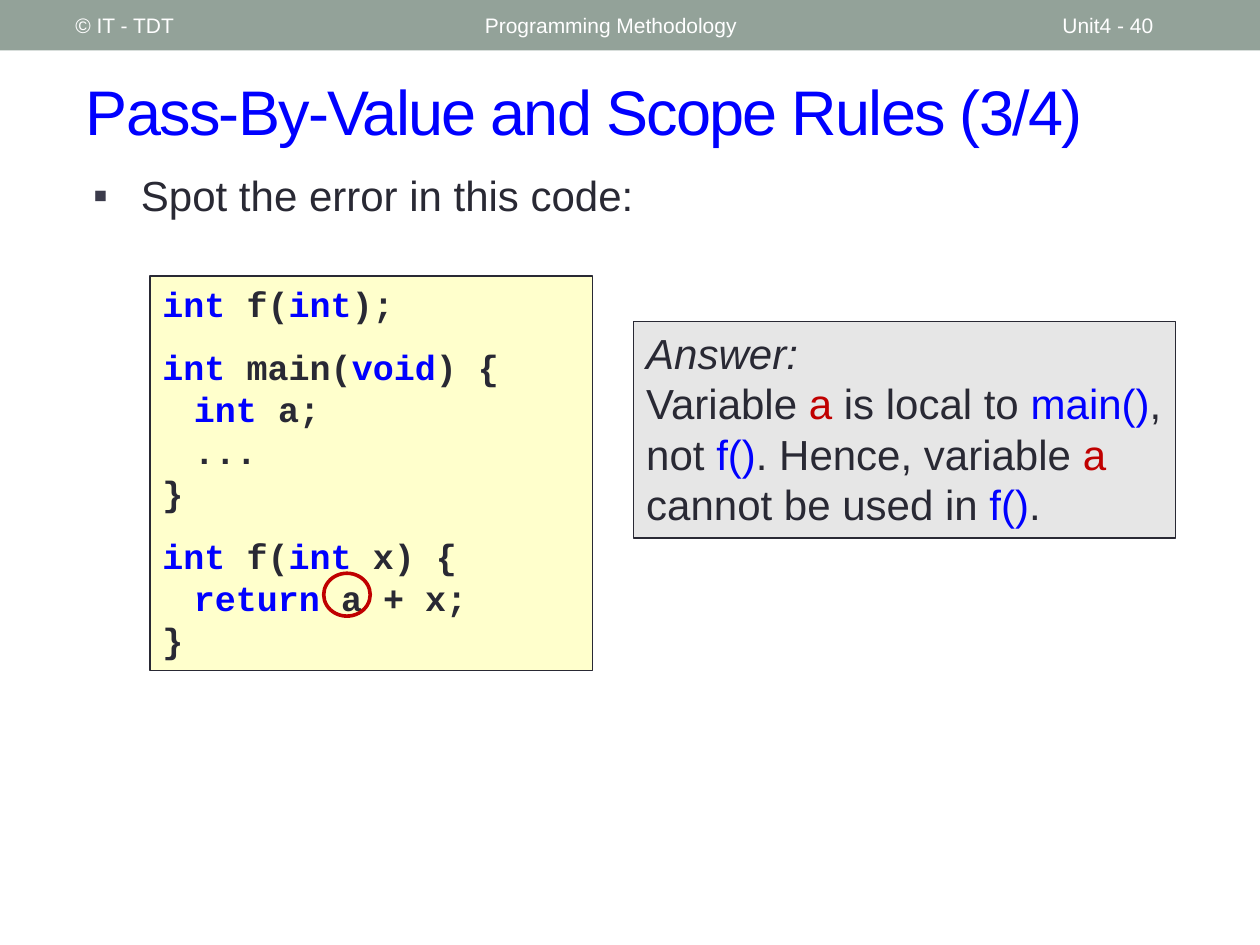
from dataclasses import dataclass

from lxml import etree
from pptx import Presentation
from pptx.dml.color import RGBColor
from pptx.enum.shapes import MSO_SHAPE
from pptx.enum.text import MSO_ANCHOR, PP_ALIGN
from pptx.oxml.ns import qn
from pptx.util import Pt

RECTANGLE, OVAL = MSO_SHAPE.RECTANGLE, MSO_SHAPE.OVAL
TOP, MIDDLE = MSO_ANCHOR.TOP, MSO_ANCHOR.MIDDLE
LEFT = PP_ALIGN.LEFT


@dataclass(frozen=True)
class Theme:
    ink: str = "292934"
    blue: str = "0000FF"
    red: str = "C00000"
    white: str = "FFFFFF"
    band: str = "93A299"
    code_fill: str = "FFFFCC"
    answer_fill: str = "E6E6E6"
    bullet: str = "3B3B4B"
    sans: str = "Arial"
    mono: str = "Courier New"
    title_size: int = 36
    body_size: int = 24
    code_size: int = 20
    header_size: int = 12


THEME = Theme()
CODE_TABS = (18, 36.7, 54)
LINE_FACTOR = 1.2

# A line is a list of (text, colour) runs; a line listed in `gaps` has space before it.
INK, BLUE, RED = THEME.ink, THEME.blue, THEME.red
CODE = [
    [("int ", BLUE), ("f(", INK), ("int", BLUE), (");", INK)],
    [("int", BLUE), (" main(", INK), ("void", BLUE), (") {", INK)],
    [("\t", INK), ("int", BLUE), (" a;", INK)],
    [("\t...", INK)],
    [("}", INK)],
    [("int", BLUE), (" f(", INK), ("int", BLUE), (" x) {", INK)],
    [("\t", INK), ("return", BLUE), (" a + x;", INK)],
    [("}", INK)],
]
FUNCTION_STARTS = (1, 5)
ANSWER = [
    ("Variable ", INK), ("a", RED), (" is local to ", INK), ("main()", BLUE),
    (", not ", INK), ("f()", BLUE), (". Hence, variable ", INK), ("a", RED),
    (" cannot be used in ", INK), ("f()", BLUE), (".", INK),
]


def add_tabs(paragraph, stops):
    tab_list = etree.SubElement(paragraph._p.get_or_add_pPr(), qn("a:tabLst"))
    for stop in stops:
        etree.SubElement(tab_list, qn("a:tab"), pos=str(Pt(stop)), algn="l")


def add_bullet(paragraph, char, color, indent):
    properties = paragraph._p.get_or_add_pPr()
    properties.set("marL", str(Pt(indent)))
    properties.set("indent", str(-Pt(indent)))
    bullet_color = etree.SubElement(properties, qn("a:buClr"))
    etree.SubElement(bullet_color, qn("a:srgbClr"), val=color)
    etree.SubElement(properties, qn("a:buFont"), typeface=THEME.sans)
    etree.SubElement(properties, qn("a:buChar"), char=char)


def write(frame, lines, *, size, font=THEME.sans, bold=False, anchor=TOP,
          tabs=(), gaps=(), gap=0, italic_lines=(), tight=False, leading=None):
    """Fill a text frame with lines of coloured runs."""
    frame.word_wrap = True
    frame.vertical_anchor = anchor
    for index, line in enumerate(lines):
        paragraph = frame.paragraphs[0] if index == 0 else frame.add_paragraph()
        if tabs:
            add_tabs(paragraph, tabs)
        paragraph.alignment = LEFT
        if leading:
            paragraph.line_spacing = Pt(leading)
        if index in gaps:
            paragraph.space_before = Pt(gap)
        for text, color in line:
            run = paragraph.add_run()
            run.text = text
            run.font.name = font
            run.font.size = Pt(size)
            run.font.bold = bold
            run.font.italic = index in italic_lines
            run.font.color.rgb = RGBColor.from_string(color)
            if tight:
                run.font._element.set("spc", "-100")


def add_text(slide, box, lines, **text_format):
    frame = slide.shapes.add_textbox(*map(Pt, box)).text_frame
    write(frame, lines, **text_format)
    return frame


def add_figure(slide, kind, box, fill=None, line=None, width=0.75):
    figure = slide.shapes.add_shape(kind, *map(Pt, box))
    figure.shadow.inherit = False
    if fill:
        figure.fill.solid()
        figure.fill.fore_color.rgb = RGBColor.from_string(fill)
    else:
        figure.fill.background()
    if line:
        figure.line.color.rgb = RGBColor.from_string(line)
        figure.line.width = Pt(width)
    else:
        figure.line.fill.background()
    return figure


def add_header(slide):
    add_figure(slide, RECTANGLE, (0, 0, 720, 28.8), THEME.band)
    for left, width, label in (
        (36, 228, "© IT - TDT"),
        (270, 324, "Programming Methodology"),
        (600, 84, "Unit4 - 40"),
    ):
        add_text(slide, (left, 1.44, width, 25.92), [[(label, THEME.white)]],
                 size=THEME.header_size, anchor=MIDDLE)


def set_title(slide, text):
    title = slide.shapes.title
    title.left, title.top, title.width, title.height = map(Pt, (41.8, 30.2, 660, 66.2))
    write(title.text_frame, [[(text, BLUE)]], size=THEME.title_size,
          anchor=MIDDLE, tight=True)


def main():
    deck = Presentation()
    deck.slide_width, deck.slide_height = Pt(720), Pt(540)
    slide = deck.slides.add_slide(deck.slide_layouts[5])

    # Header band and title
    add_header(slide)
    set_title(slide, "Pass-By-Value and Scope Rules (3/4)")

    # Question
    question = add_text(slide, (46.1, 93.6, 648, 45.4),
                        [[("Spot the error in this code:", INK)]], size=THEME.body_size)
    add_bullet(question.paragraphs[0], "▪", THEME.bullet, 27.4)

    # Code listing
    listing = add_figure(slide, RECTANGLE, (85.7, 157.7, 252.7, 225.4),
                         THEME.code_fill, INK)
    write(listing.text_frame, CODE, size=THEME.code_size, font=THEME.mono, bold=True,
          tabs=CODE_TABS, gaps=FUNCTION_STARTS, gap=12,
          leading=THEME.code_size * LINE_FACTOR)

    # Answer
    answer = add_figure(slide, RECTANGLE, (362.2, 183.6, 309.6, 123.8),
                        THEME.answer_fill, INK)
    write(answer.text_frame, [[("Answer:", INK)], ANSWER], size=THEME.body_size,
          italic_lines=(0,), leading=THEME.body_size * LINE_FACTOR)

    # Ring around the misused variable
    add_figure(slide, OVAL, (185, 327.6, 26.6, 24.5), line=RED, width=2.08)

    deck.save("out.pptx")


if __name__ == "__main__":
    main()
